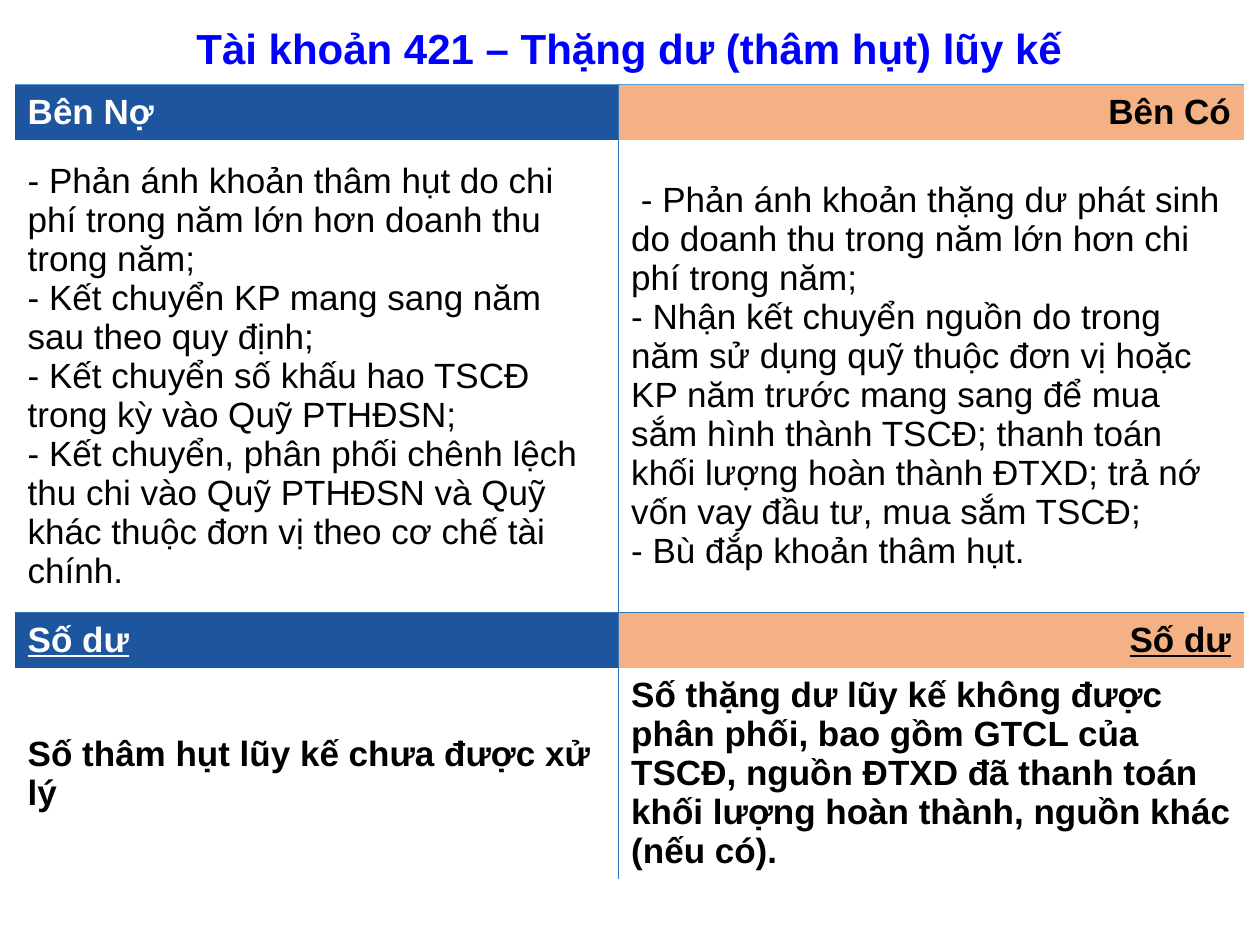
from dataclasses import dataclass
from lxml.etree import SubElement
from pptx import Presentation
from pptx.dml.color import RGBColor
from pptx.enum.text import MSO_ANCHOR, PP_ALIGN
from pptx.oxml.ns import qn
from pptx.util import Inches, Pt


@dataclass(frozen=True)
class Theme:
    font: str = "Arial"
    title_size: int = 24
    body_size: int = 20
    title: str = "0000FF"
    dark: str = "000000"
    light: str = "FFFFFF"
    debit: str = "1D559F"
    credit: str = "F4B183"
    title_rule: str = "5B9BD5"
    rule: str = "2E75B6"


THEME = Theme()
PLAIN_TABLE = "{2D5ABB26-0587-4C30-8999-92F81FD0307C}"
LEFT = TOP = 0.12
COLUMNS = [4.79, 4.96]
ROWS = [0.55, 0.44, 3.75, 0.44, 1.68]

TITLE = "Tài khoản 421 – Thặng dư (thâm hụt) lũy kế"
SIDES = ["Bên Nợ", "Bên Có"]
ENTRIES = [
    [
        "- Phản ánh khoản thâm hụt do chi phí trong năm lớn hơn doanh thu trong năm;",
        "- Kết chuyển KP mang sang năm sau theo quy định;",
        "- Kết chuyển số khấu hao TSCĐ trong kỳ vào Quỹ PTHĐSN;",
        "- Kết chuyển, phân phối chênh lệch thu chi vào Quỹ PTHĐSN và Quỹ khác "
        "thuộc đơn vị theo cơ chế tài chính.",
    ],
    [
        " - Phản ánh khoản thặng dư phát sinh do doanh thu trong năm lớn hơn chi "
        "phí trong năm;",
        "- Nhận kết chuyển nguồn do trong năm sử dụng quỹ thuộc đơn vị hoặc KP năm "
        "trước mang sang để mua sắm hình thành TSCĐ; thanh toán khối lượng hoàn "
        "thành ĐTXD; trả nớ vốn vay đầu tư, mua sắm TSCĐ;",
        "- Bù đắp khoản thâm hụt.",
    ],
]
BALANCE = "Số dư"
BALANCES = [
    "Số thâm hụt lũy kế chưa được xử lý",
    "Số thặng dư lũy kế không được phân phối, bao gồm GTCL của TSCĐ, nguồn ĐTXD "
    "đã thanh toán khối lượng hoàn thành, nguồn khác (nếu có).",
]


def add_ledger(page):
    frame = page.shapes.add_table(
        len(ROWS), len(COLUMNS), Inches(LEFT), Inches(TOP),
        Inches(sum(COLUMNS)), Inches(sum(ROWS)))
    table = frame.table
    table.first_row = table.horz_banding = False
    frame._element.find(".//" + qn("a:tableStyleId")).text = PLAIN_TABLE
    for column, width in zip(table.columns, COLUMNS):
        column.width = Inches(width)
    for row, height in zip(table.rows, ROWS):
        row.height = Inches(height)
    table.cell(0, 0).merge(table.cell(0, 1))
    return table


def write_cell(cell, lines, color=THEME.dark, size=THEME.body_size, bold=True,
               underline=False, align=PP_ALIGN.LEFT):
    cell.vertical_anchor = MSO_ANCHOR.MIDDLE
    box = cell.text_frame
    for index, line in enumerate(lines):
        para = box.add_paragraph() if index else box.paragraphs[0]
        para.alignment = align
        span = para.add_run()
        span.text = line
        span.font.name = THEME.font
        span.font.size = Pt(size)
        span.font.bold = bold
        span.font.underline = underline
        span.font.color.rgb = RGBColor.from_string(color)


def fill_cell(cell, color=None):
    if color:
        cell.fill.solid()
        cell.fill.fore_color.rgb = RGBColor.from_string(color)
    else:
        cell.fill.background()


def add_borders(cell, borders):
    properties = cell._tc.get_or_add_tcPr()
    for side in "LRTB":
        line = SubElement(properties, qn("a:ln" + side), w=str(Pt(1)))
        if side in borders:
            solid = SubElement(line, qn("a:solidFill"))
            SubElement(solid, qn("a:srgbClr"), val=borders[side])
        else:
            SubElement(line, qn("a:noFill"))


def rule_table(table):
    below = {0: THEME.title_rule, 2: THEME.rule}
    for row in range(len(ROWS)):
        for column in range(len(COLUMNS)):
            borders = {}
            if row:
                borders["L" if column else "R"] = THEME.rule
            if row in below:
                borders["B"] = below[row]
            if row - 1 in below:
                borders["T"] = below[row - 1]
            add_borders(table.cell(row, column), borders)


def main():
    deck = Presentation()
    deck.slide_width, deck.slide_height = Inches(10), Inches(7.5)
    page = deck.slides.add_slide(deck.slide_layouts[6])

    # Table grid and rules
    table = add_ledger(page)
    rule_table(table)

    # Title row
    write_cell(table.cell(0, 0), [TITLE], THEME.title, THEME.title_size,
               align=PP_ALIGN.CENTER)
    fill_cell(table.cell(0, 0))

    # Debit and credit columns
    looks = [(THEME.debit, THEME.light, PP_ALIGN.LEFT),
             (THEME.credit, THEME.dark, PP_ALIGN.RIGHT)]
    for column, (fill, color, align) in enumerate(looks):
        side, entries, heading, balance = [
            table.cell(row, column) for row in range(1, len(ROWS))]
        write_cell(side, [SIDES[column]], color, align=align)
        write_cell(entries, ENTRIES[column], bold=False)
        write_cell(heading, [BALANCE], color, underline=True, align=align)
        write_cell(balance, [BALANCES[column]])
        for cell in (side, heading):
            fill_cell(cell, fill)
        for cell in (entries, balance):
            fill_cell(cell)

    deck.save("out.pptx")


if __name__ == "__main__":
    main()
